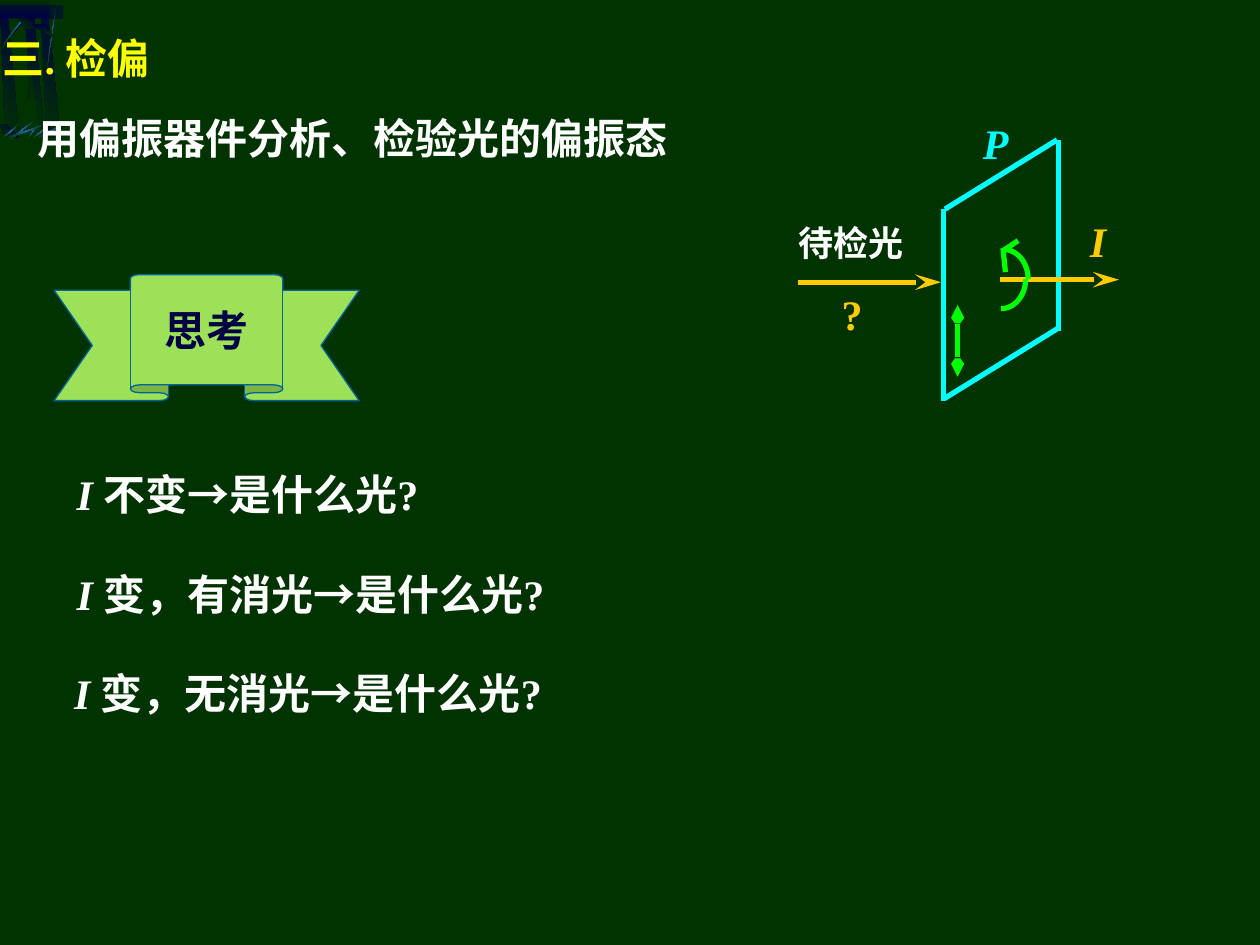
from lxml.etree import SubElement
from pptx import Presentation
from pptx.dml.color import RGBColor
from pptx.enum.shapes import MSO_CONNECTOR as Link, MSO_SHAPE as Shape
from pptx.enum.text import MSO_ANCHOR as Anchor, MSO_AUTO_SIZE as Fit, PP_ALIGN as Align
from pptx.oxml import parse_xml
from pptx.oxml.ns import nsdecls, qn
from pptx.util import Inches, Pt

GREEN_DARK = RGBColor(0x00, 0x33, 0x00)
NAVY = RGBColor(0x00, 0x00, 0x44)
BLUE = RGBColor(0x26, 0x63, 0xA0)
TEAL = RGBColor(0x00, 0x66, 0x99)
LIME = RGBColor(0x9C, 0xE1, 0x57)
GREEN = RGBColor(0x00, 0xFF, 0x00)
CYAN = RGBColor(0x00, 0xFF, 0xFF)
GOLD = RGBColor(0xFF, 0xCC, 0x00)
YELLOW = RGBColor(0xFF, 0xFF, 0x00)
WHITE = RGBColor(0xFF, 0xFF, 0xFF)
SERIF, SANS, CJK = "Times New Roman", "Arial", "Noto Sans CJK SC"

FADE = [NAVY, GREEN_DARK]
GLINT = [GREEN_DARK, BLUE, GREEN_DARK]
SHADE = [GREEN_DARK, NAVY, GREEN_DARK]
TIGHT = {f"margin_{side}": Inches(0.01) for side in ("left", "top", "right", "bottom")}
RAY_TIP = {"type": "stealth", "w": "med", "len": "lg"}
SWING_TIP = {"type": "arrow", "w": "sm", "len": "med"}

BEAMS = [
    ([(0.23, 0.78), (0.29, 0.78), (0.23, 0), (0.2, 0)], 135),
    ([(0.04, 1.08), (0.15, 1.08), (0.05, 0), (0, 0)], 135),
    ([(0.37, 1.08), (0.48, 1.08), (0.37, 0), (0.32, 0)], 135),
    ([(0.17, 0), (0.33, 1.08), (0.35, 1.08), (0.26, 0)], 90),
]
FEET = [
    ([(0.19, 0.23), (0.3, 0.23), (0.2, 0.13), (0.15, 0.13)], 135),
    ([(0.04, 1.09), (0.15, 1.09), (0.05, 0.99), (0, 0.99)], 135),
    ([(0.37, 1.09), (0.48, 1.09), (0.37, 0.99), (0.32, 0.99)], 135),
    ([(0.25, 0.19), (0.41, 0.29), (0.43, 0.29), (0.34, 0.19)], 90),
]
LONG_BLADES = [
    ([(0.01, 0.4), (0.14, 0.19), (0.26, 0.08), (0.31, 0.03)], SHADE),
    ([(0.01, 0.38), (0.14, 0.18), (0.26, 0.07), (0.31, 0.01)], GLINT),
    ([(0.37, 0.57), (0.41, 0.25), (0.44, 0.09), (0.46, 0)], GLINT),
]
GRASS = [
    [(0.31, 0.98), (0.27, 1.02), (0.24, 1.07), (0.22, 1.09)],
    [(0.28, 0.95), (0.18, 1.02), (0.1, 1.09), (0.07, 1.11)],
    [(0.36, 0.98), (0.22, 1.04), (0.1, 1.07), (0.05, 1.09)],
    [(0.15, 0.98), (0.09, 1.04), (0.04, 1.07), (0.02, 1.09)],
    [(0.38, 0.99), (0.33, 1.05), (0.28, 1.07), (0.26, 1.09)],
    [(0.48, 0.98), (0.42, 1.04), (0.37, 1.07), (0.35, 1.09)],
    [(0.5, 0.98), (0.41, 1.04), (0.33, 1.07), (0.3, 1.09)],
]
POLARIZER_EDGES = [
    ((7.49, 1.66), (7.49, 3.18)),
    ((8.4, 1.11), (8.4, 2.63)),
    ((7.5, 1.66), (8.39, 1.11)),
    ((7.5, 3.16), (8.39, 2.61)),
]
QUESTIONS = [("不变", 0.51, 3.58), ("变，有消光", 0.51, 4.58), ("变，无消光", 0.49, 4.5)]


def apply(target, values):
    """Set every named attribute on the target."""
    for name, value in values.items():
        setattr(target, name, value)


def fill_gradient(shape, colors, angle):
    """Give an unlined shape evenly spaced gradient stops."""
    stops = "".join(
        f'<a:gs pos="{i * 100000 // (len(colors) - 1)}"><a:srgbClr val="{color}"/></a:gs>'
        for i, color in enumerate(colors)
    )
    shape.line.fill.background()
    shape.shadow.inherit = False
    shape._element.spPr.insert(2, parse_xml(
        f'<a:gradFill {nsdecls("a")} rotWithShape="1"><a:gsLst>{stops}</a:gsLst>'
        f'<a:lin ang="{angle * 60000}" scaled="1"/></a:gradFill>'
    ))


def add_polygon(slide, points, colors, angle):
    """Draw a closed outline with a gradient."""
    corners = [(Inches(x), Inches(y)) for x, y in points]
    builder = slide.shapes.build_freeform(*corners[0], scale=1.0)
    builder.add_line_segments(corners[1:], close=True)
    fill_gradient(builder.convert_to_shape(), colors, angle)


def add_blade(slide, controls, colors):
    """Draw a thin curved blade along a cubic curve."""
    edge = []
    for step in range(9):
        t = step / 8
        weights = ((1 - t) ** 3, 3 * t * (1 - t) ** 2, 3 * t * t * (1 - t), t ** 3)
        edge.append(tuple(sum(w * c[axis] for w, c in zip(weights, controls)) for axis in (0, 1)))
    back = [(x, y + 0.01) for x, y in reversed(edge[1:])]
    add_polygon(slide, edge + back, colors, 180)


def add_preset(slide, kind, box, fill=None, line=None, width=3):
    """Draw a preset shape with plain fill and line."""
    shape = slide.shapes.add_shape(kind, *map(Inches, box))
    shape.shadow.inherit = False
    for part, color in ((shape.fill, fill), (shape.line.fill, line)):
        if color is None:
            part.background()
        else:
            part.solid()
            part.fore_color.rgb = color
    if line is not None:
        shape.line.width = Pt(width)
    return shape


def add_line(slide, start, end, color, **tips):
    """Draw a straight line with optional headEnd and tailEnd arrows."""
    line = slide.shapes.add_connector(Link.STRAIGHT, *map(Inches, start + end))
    line.line.color.rgb = color
    line.line.width = Pt(3)
    for end_name, tip in tips.items():
        SubElement(line.line._get_or_add_ln(), qn(f"a:{end_name}"), tip)
    SubElement(line._element.spPr, qn("a:effectLst"))


def write(shape, runs, color, align=Align.LEFT, size=24, **frame_format):
    """Write bold runs of text, font and italic into a shape."""
    apply(shape.text_frame, {"word_wrap": True, **frame_format})
    paragraph = shape.text_frame.paragraphs[0]
    paragraph.alignment = align
    for text, font, italic in runs:
        run = paragraph.add_run()
        run.text = text
        apply(run.font, {"name": font, "size": Pt(size), "bold": True, "italic": italic})
        run.font.color.rgb = color
        SubElement(run._r.get_or_add_rPr(), qn("a:ea"), typeface=CJK)


def add_text(slide, box, runs, color, **text_format):
    """Add a text box holding one line."""
    write(slide.shapes.add_textbox(*map(Inches, box)), runs, color, **text_format)


def add_label(slide, box, text, color, italic=False, size=24):
    """Add a diagram label with tight margins."""
    add_text(slide, box, [(text, SERIF, italic)], color, align=Align.JUSTIFY, size=size, **TIGHT)


def draw_ornament(slide):
    """Draw the corner decoration of beams and grass."""
    for points, angle in BEAMS:
        add_polygon(slide, points, FADE, angle)
    for controls, colors in LONG_BLADES:
        add_blade(slide, controls, colors)
    lintel = slide.shapes.add_shape(Shape.RECTANGLE, 0, 0, Inches(0.4), Inches(0.14))
    fill_gradient(lintel, FADE[::-1], 90)
    for points, angle in FEET:
        add_polygon(slide, points, FADE, angle)
    crossbar = add_preset(slide, Shape.RECTANGLE, (0, 0.04, 0.5, 0.11), NAVY)
    tint = crossbar._element.spPr.find(f'{qn("a:solidFill")}/{qn("a:srgbClr")}')
    SubElement(tint, qn("a:alpha"), val="50000")
    for controls in GRASS:
        add_blade(slide, controls, GLINT)
    ground = slide.shapes.add_shape(Shape.RECTANGLE, 0, Inches(0.99), Inches(0.5), 0)
    fill_gradient(ground, [NAVY, LIME, NAVY], 180)


def draw_polarizer(slide):
    """Draw the polarizer with its light rays and rotation mark."""
    add_label(slide, (7.79, 0.92, 0.6, 0.54), "P", CYAN, italic=True)
    for start, end in POLARIZER_EDGES:
        add_line(slide, start, end, CYAN)
    add_line(slide, (7.6, 2.42), (7.6, 2.99), GREEN, headEnd=SWING_TIP, tailEnd=SWING_TIP)
    add_label(slide, (8.64, 1.7, 0.52, 0.45), "I", GOLD, italic=True)
    add_line(slide, (7.94, 2.22), (8.88, 2.22), GOLD, tailEnd=RAY_TIP)
    add_label(slide, (6.67, 2.28, 0.5, 0.47), "?", GOLD)
    add_line(slide, (6.33, 2.24), (7.47, 2.24), GOLD, tailEnd=RAY_TIP)
    add_label(slide, (6.33, 1.75, 1.17, 0.49), "待检光", WHITE, size=20)
    for left, start, end in ((7.75, 0, 54), (7.77, 162, 0)):
        arc = add_preset(slide, Shape.ARC, (left, 1.98, 0.39, 0.47), line=GREEN)
        arc.adjustments[0], arc.adjustments[1] = start, end
    add_line(slide, (8.08, 1.91), (7.96, 1.99), GREEN)
    add_line(slide, (7.96, 1.97), (7.98, 2.16), GREEN)


def main():
    """Build the slide on analysing polarized light."""
    deck = Presentation()
    deck.slide_width, deck.slide_height = Inches(10), Inches(7.5)
    slide = deck.slides.add_slide(deck.slide_layouts[5])
    slide.background.fill.solid()
    slide.background.fill.fore_color.rgb = GREEN_DARK
    draw_ornament(slide)
    add_text(slide, (0.2, 0.84, 7.08, 0.5), [("用偏振器件分析、检验光的偏振态", CJK, False)], WHITE)
    draw_polarizer(slide)
    ribbon = add_preset(slide, Shape.UP_RIBBON, (0.43, 2.18, 2.42, 1), LIME, TEAL, 0.75)
    ribbon.adjustments[0], ribbon.adjustments[1] = 0.125, 0.5
    write(ribbon, [("思考", SERIF, False)], NAVY, align=Align.CENTER,
          word_wrap=False, vertical_anchor=Anchor.MIDDLE)
    for row, (change, left, width) in enumerate(QUESTIONS):
        runs = [("I ", SERIF, True), (change, SERIF, False), ("→", SANS, False),
                ("是什么光?", SERIF, False)]
        add_text(slide, (left, 3.67 + 0.79 * row, width, 0.5), runs, WHITE)
    heading = slide.shapes.title
    slide.shapes._spTree.append(heading._element)
    apply(heading, {"left": Inches(-0.08), "top": Inches(0.21),
                    "width": Inches(1.52), "height": Inches(0.5)})
    write(heading, [("三. 检偏", SERIF, False)], YELLOW, word_wrap=False, margin_right=0,
          auto_size=Fit.NONE, vertical_anchor=Anchor.TOP)
    deck.save("out.pptx")


if __name__ == "__main__":
    main()
